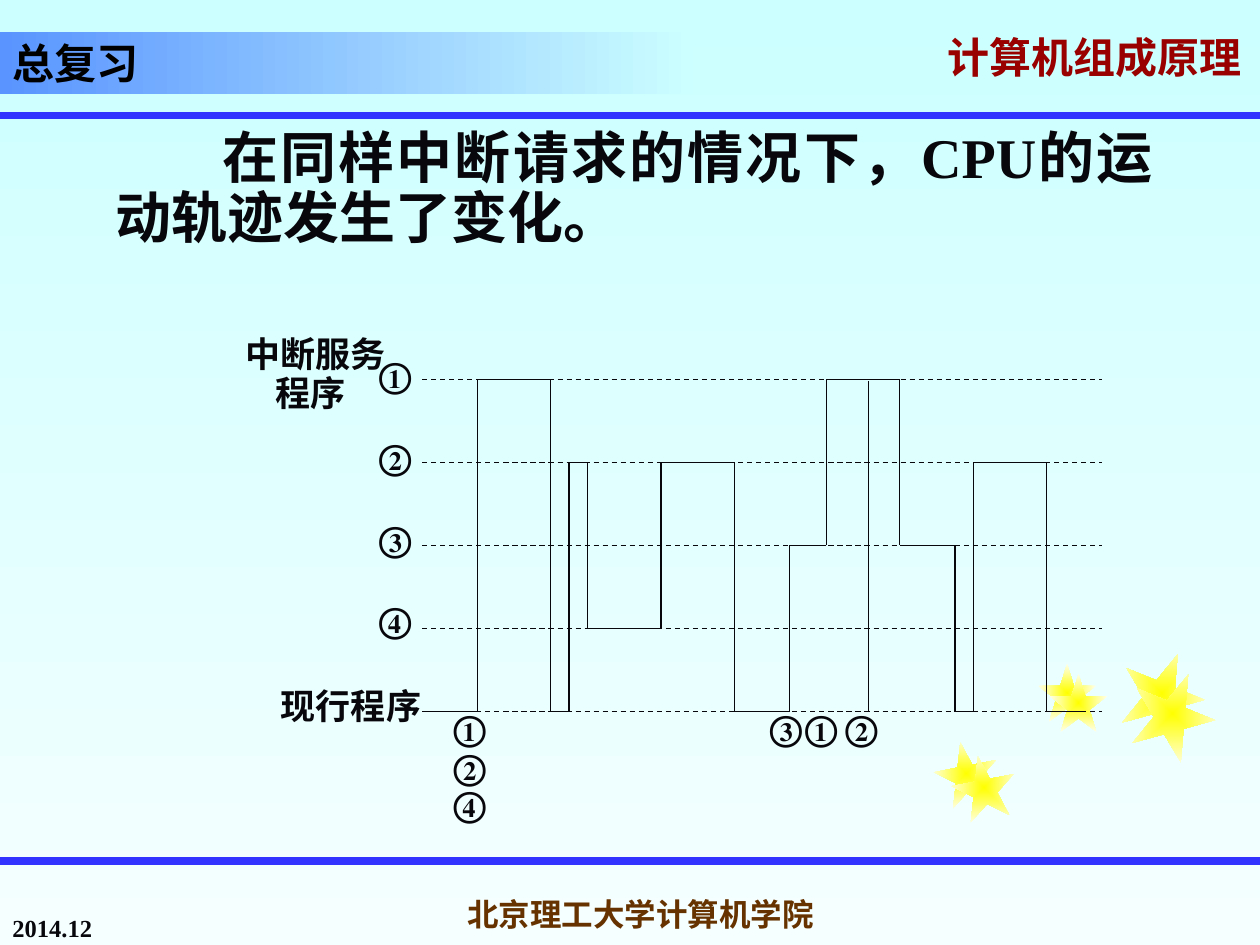
"""Build the review slide that traces the CPU through nested interrupts."""
from itertools import pairwise

from lxml import etree
from pptx import Presentation
from pptx import util as u
from pptx.dml.color import RGBColor
from pptx.enum import dml, shapes, text
from pptx.oxml.ns import qn

COLORS = {
    "ink": "08080C", "black": "000000", "rule": "3333FF", "course": "990000",
    "school": "663300", "sky": "CCFFFF", "pale": "F5FFFF", "banner": "5994FF",
    "star": "FFFF00", "star_edge": "FFFFE9", "shade": "808080",
}
LATIN, CHINESE = "Times New Roman", "Noto Sans CJK SC"
LEFT, TICK, TOP, LEVEL_GAP = 241.2, 10.5, 216.7, 47.5
PROGRAM_LEVELS, LAST_TICK, CURRENT = range(5), 37, 4
TRACE = [(3, 4), (7, 0), (8, 4), (9, 1), (13, 3), (17, 1), (20, 4),
         (22, 2), (26, 0), (29, 2), (30, 4), (34, 1), (36, 4)]
REQUESTS = [("①", 252, 400.3), ("②", 252, 422.6), ("④", 252, 443.5),
            ("③", 432.7, 400.3), ("①", 452.9, 400.3), ("②", 475.9, 400.3)]
STARS = [(534.2, 424, 36, 349), (593.3, 379.4, 33, 0), (640, 372.2, 48, 22),
         (544.3, 432, 36, 349), (599.8, 385.2, 33, 0), (646, 383.8, 48, 22)]


def rgb(name):
    """Return the named colour."""
    return RGBColor.from_string(COLORS[name])


def grid(tick, level):
    """Return the point of a time tick on a program level."""
    return LEFT + tick * TICK, TOP + level * LEVEL_GAP


class SlideWriter:
    """Holds the style and the current slide."""

    def __init__(self, deck):
        """Add a title and content slide."""
        self.slide = deck.slides.add_slide(deck.slide_layouts[1])

    def gradient(self, fill, start, end, angle=0):
        """Apply a two-stop linear gradient."""
        fill.gradient()
        fill.gradient_angle = angle
        for stop, name in zip(fill.gradient_stops, (start, end)):
            stop.color.rgb = rgb(name)

    def style(self, paragraph, size, color):
        """Format the runs of a paragraph in bold."""
        for run in paragraph.runs:
            font = run.font
            font.size, font.bold, font.name = u.Pt(size), True, LATIN
            font.color.rgb = rgb(color)
            latin = font._element.find(qn("a:latin"))
            east_asian = etree.Element(qn("a:ea"), typeface=CHINESE)
            latin.addnext(east_asian)

    def indent(self, paragraph, margin, first=0):
        """Set the left margin and first-line indent without a bullet."""
        properties = paragraph._p.get_or_add_pPr()
        properties.set("marL", str(u.Pt(margin)))
        properties.set("indent", str(u.Pt(first)))
        etree.SubElement(properties, qn("a:buNone"))

    def placeholder(self, index, box, words, size, color, anchor):
        """Move and fill a template placeholder."""
        holder = self.slide.placeholders[index]
        holder.left, holder.top, holder.width, holder.height = map(u.Pt, box)
        frame = holder.text_frame
        frame.text = words
        frame.auto_size = text.MSO_AUTO_SIZE.NONE
        frame.vertical_anchor = anchor
        self.style(frame.paragraphs[0], size, color)
        return holder

    def label(self, box, words, size=20, color="ink",
              anchor=text.MSO_ANCHOR.TOP, wrap=True):
        """Add a text box and return its paragraphs."""
        frame = self.slide.shapes.add_textbox(*map(u.Pt, box)).text_frame
        frame.text = words
        frame.word_wrap, frame.vertical_anchor = wrap, anchor
        for paragraph in frame.paragraphs:
            self.style(paragraph, size, color)
        return frame.paragraphs

    def line(self, start, end, color="ink", width=0.75, dash=None):
        """Add a straight line."""
        connector = self.slide.shapes.add_connector(
            shapes.MSO_CONNECTOR.STRAIGHT, *map(u.Pt, (*start, *end)))
        connector.line.color.rgb = rgb(color)
        connector.line.width = u.Pt(width)
        if dash:
            connector.line.dash_style = dash
        etree.SubElement(connector._element.spPr, qn("a:effectLst"))

    def star(self, left, top, size, rotation):
        """Add a star that glows from its centre."""
        star = self.slide.shapes.add_shape(
            shapes.MSO_SHAPE.STAR_5_POINT, *map(u.Pt, (left, top, size, size)))
        star.rotation = rotation
        star.shadow.inherit = False
        star.line.fill.background()
        self.gradient(star.fill, "star", "star_edge")
        linear = star._element.spPr.find(".//" + qn("a:lin"))
        glow = etree.Element(qn("a:path"), {"path": "rect"})
        etree.SubElement(glow, qn("a:fillToRect"),
                         dict.fromkeys("ltrb", "50000"))
        linear.getparent().replace(linear, glow)

    def text_shadow(self, paragraph):
        """Give the runs of a paragraph a small shadow."""
        for run in paragraph.runs:
            effects = etree.Element(qn("a:effectLst"))
            shadow = etree.SubElement(effects, qn("a:outerShdw"),
                                      dist="25400", dir="2700000")
            etree.SubElement(shadow, qn("a:srgbClr"), val=COLORS["shade"])
            run.font._element.find(qn("a:solidFill")).addnext(effects)


def main():
    """Write the slide."""
    deck = Presentation()
    deck.slide_width, deck.slide_height = u.Pt(720), u.Pt(540)
    page = SlideWriter(deck)
    page.gradient(page.slide.background.fill, "sky", "pale", 270)

    for star in STARS:
        page.star(*star)
    for height in (66, 492):
        page.line((0, height), (720, height), "rule", 4.5)

    chapter = page.placeholder(0, (0, 18, 396, 36), "总复习", 24, "black",
                               text.MSO_ANCHOR.BOTTOM)
    page.gradient(chapter.fill, "banner", "sky")
    chapter.text_frame.paragraphs[0].alignment = text.PP_ALIGN.LEFT

    statement = page.placeholder(
        1, (31.7, 70.6, 634.3, 404.6),
        "在同样中断请求的情况下，CPU的运动轨迹发生了变化。", 32, "ink",
        text.MSO_ANCHOR.TOP).text_frame.paragraphs[0]
    page.indent(statement, 27, 61)
    statement.alignment = text.PP_ALIGN.JUSTIFY
    statement.line_spacing, statement.space_before = 0.9, u.Pt(0)

    course = page.label((534.2, 18, 185.8, 36), "计算机组成原理", 24, "course",
                        text.MSO_ANCHOR.MIDDLE)[0]
    course.line_spacing = 0.7
    page.text_shadow(course)
    school = page.label((252, 504, 228, 36), "北京理工大学计算机学院", 18, "school",
                        text.MSO_ANCHOR.MIDDLE, wrap=False)[0]
    school.alignment = text.PP_ALIGN.CENTER
    page.label((0, 506, 150, 36), "2014.12", 14, anchor=text.MSO_ANCHOR.BOTTOM)

    for level in PROGRAM_LEVELS:
        page.line(grid(0, level), grid(LAST_TICK, level),
                  dash=dml.MSO_LINE.DASH)
    corners, tick = [], 0
    for end, level in TRACE:
        corners += [grid(tick, level), grid(end, level)]
        tick = end
    for start, end in pairwise(corners):
        page.line(start, end)
    page.line((496, 218), (496, grid(0, CURRENT)[1]), width=0.5)

    service = page.label((133.2, 186.5, 110, 51), "中断服务\n程序")[1]
    page.indent(service, 17)
    service.line_spacing, service.space_before = 0.3, u.Pt(12.5)
    page.label((153.4, 387.4, 110, 32), "现行程序")
    levels = [(mark, 209.5, 198.7 + 46.6 * i) for i, mark in enumerate("①②③④")]
    for mark, left, top in levels + REQUESTS:
        page.label((left, top, 105, 32), mark)

    deck.save("out.pptx")


if __name__ == "__main__":
    main()
